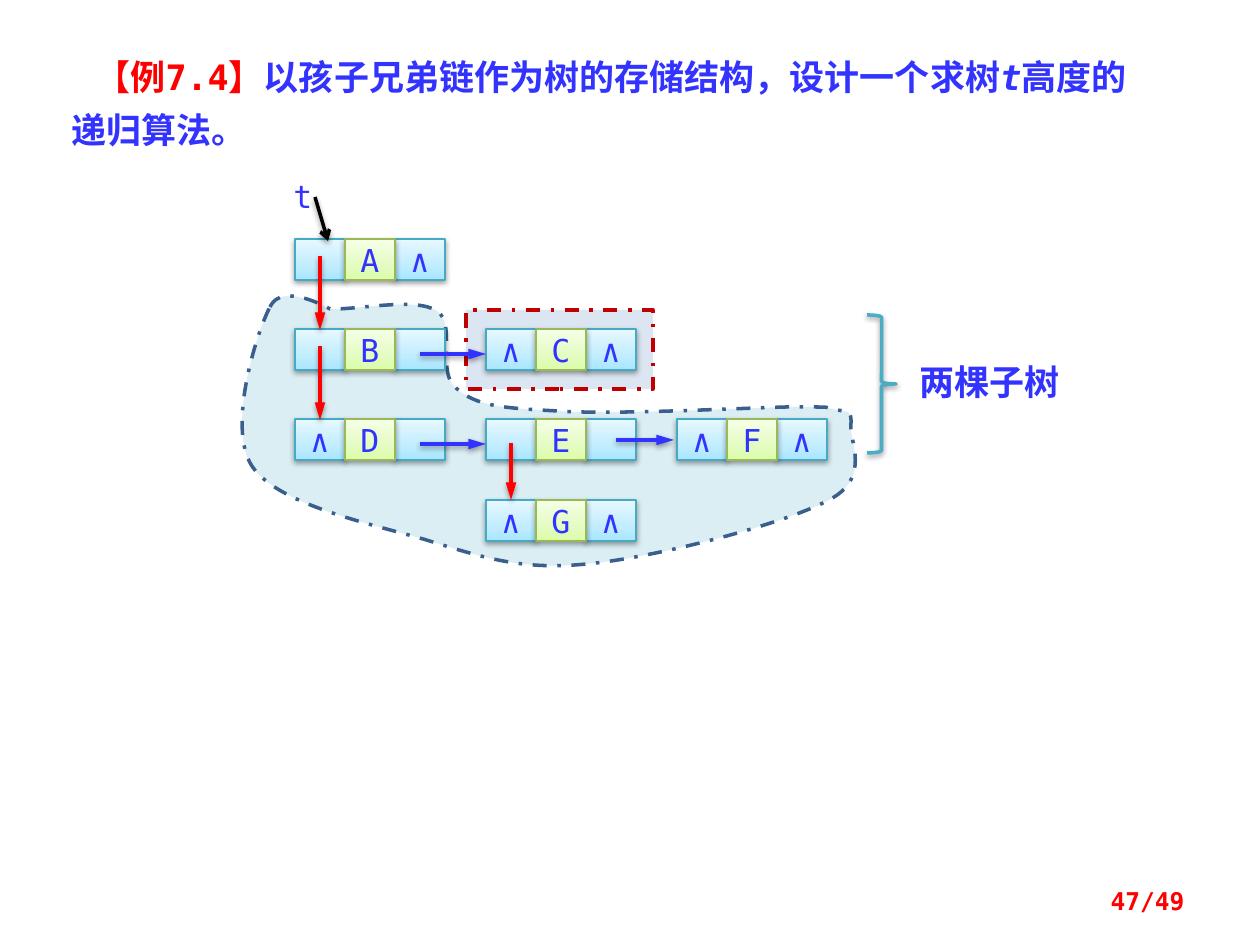
from dataclasses import dataclass
from copy import deepcopy
from itertools import chain
from lxml.etree import SubElement
from pptx import Presentation
from pptx.dml.color import RGBColor
from pptx.enum.dml import MSO_LINE
from pptx.enum.shapes import MSO_CONNECTOR, MSO_SHAPE
from pptx.enum.text import MSO_ANCHOR, MSO_AUTO_SIZE, PP_ALIGN
from pptx.oxml.ns import qn
from pptx.util import Pt

PX = 914400 / 126


@dataclass(frozen=True)
class Theme:
    blue: str = "3333FF"
    red: str = "FF0000"
    black: str = "000000"
    crimson: str = "C00000"
    navy: str = "3A5F8C"
    teal: str = "4BACC6"
    pool: str = "DBEEF4"
    mist: str = "DCE6F2"
    link_edge: str = "46AAC5"
    data_edge: str = "98B955"
    link_fill: tuple = ("A7E6FF", "C1EDFF", "E7F8FF")
    data_fill: tuple = ("DAFDA7", "E4FCC2", "F5FFE7")
    mono: str = "DejaVu Sans Mono"
    hans: str = "Noto Sans CJK SC"
    head: int = 20
    node: int = 18
    foot: int = 14
    thin: float = 0.75
    thick: int = 2


T = Theme()
CELL_W, CELL_H = 50, 41
COLS = (295, 486, 677)
ROWS = (239, 329, 419, 500)
NODES = (
    (0, 0, ("", "A", "∧")),
    (0, 1, ("", "B", "")),
    (1, 1, ("∧", "C", "∧")),
    (0, 2, ("∧", "D", "")),
    (1, 2, ("", "E", "")),
    (2, 2, ("∧", "F", "∧")),
    (1, 3, ("∧", "G", "∧")),
)
DOWN = ((320, 256, 330), (320, 346, 420), (511, 443, 500))
ACROSS = ((420, 486, 354), (420, 486, 444), (616, 674, 440))
START = (270, 307)
CURVES = (
    ((282, 281), (330, 309), (330, 309)),
    ((358, 310), (416, 297), (437, 311)),
    ((457, 324), (436, 372), (456, 388)),
    ((476, 406), (501, 408), (557, 411)),
    ((614, 415), (742, 408), (789, 407)),
    ((835, 407), (827, 407), (837, 410)),
    ((848, 412), (852, 410), (851, 425)),
    ((849, 440), (872, 478), (829, 500)),
    ((785, 524), (654, 558), (587, 564)),
    ((519, 571), (479, 556), (423, 539)),
    ((367, 523), (277, 504), (252, 466)),
    ((227, 428), (256, 334), START),
)


def emu(*nums):
    return [round(num * PX) for num in nums]


def rgb(code):
    return RGBColor.from_string(code)


def stroke(item, color, width=T.thick, dash=None):
    item.line.color.rgb = rgb(color)
    item.line.width = Pt(width)
    if dash:
        item.line.dash_style = dash


def shade(item):
    effects = SubElement(item.element.spPr, qn("a:effectLst"))
    shadow = SubElement(effects, qn("a:outerShdw"), blurRad="40000",
                        dist="20000", dir="5400000", rotWithShape="0")
    color = SubElement(shadow, qn("a:srgbClr"), val=T.black)
    SubElement(color, qn("a:alpha"), val="38000")


def blend(shape, colors):
    shape.fill.gradient()
    shape.fill.gradient_angle = 90
    stops = shape.element.spPr.find(".//" + qn("a:gsLst"))
    stops.insert(1, deepcopy(stops[0]))
    for stop, color, place in zip(shape.fill.gradient_stops, colors, (0, 0.35, 1)):
        stop.color.rgb = rgb(color)
        stop.position = place


def style(run, size, color=T.blue, bold=False, face=T.mono):
    font = run.font
    font.size = Pt(size)
    font.bold = bold
    font.name = face
    font.color.rgb = rgb(color)
    SubElement(run._r.get_or_add_rPr(), qn("a:ea"), typeface=T.hans)


def textbox(slide, box):
    frame = slide.shapes.add_textbox(*emu(*box)).text_frame
    frame.word_wrap = True
    frame.auto_size = MSO_AUTO_SIZE.SHAPE_TO_FIT_TEXT
    return frame


def label(slide, text, box, size, align=PP_ALIGN.LEFT, **look):
    frame = textbox(slide, box)
    frame.text = text
    para = frame.paragraphs[0]
    para.alignment = align
    style(para.runs[0], size, **look)
    return frame


def title(slide):
    para = textbox(slide, (59, 39, 1092, 113)).paragraphs[0]
    para.line_spacing = Pt(30)
    para._p.get_or_add_pPr().set("indent", str(emu(24)[0]))
    parts = (("【例7.4】", T.red),
             ("以孩子兄弟链作为树的存储结构，设计一个求树", T.blue),
             ("t", T.blue), ("高度的递归算法。", T.blue))
    for text, color in parts:
        run = para.add_run()
        run.text = text
        style(run, T.head, color, bold=True)
        run.font.italic = text == "t"


def cell(slide, text, x, y, colors, edge):
    shape = slide.shapes.add_shape(MSO_SHAPE.RECTANGLE, *emu(x, y, CELL_W, CELL_H))
    blend(shape, colors)
    stroke(shape, edge, T.thin)
    shade(shape)
    if text:
        frame = shape.text_frame
        frame.word_wrap = False
        frame.vertical_anchor = MSO_ANCHOR.MIDDLE
        frame.text = text
        frame.paragraphs[0].alignment = PP_ALIGN.CENTER
        style(frame.paragraphs[0].runs[0], T.node)


def node(slide, col, row, texts):
    link, data = (T.link_fill, T.link_edge), (T.data_fill, T.data_edge)
    for spot in (0, 2, 1):
        cell(slide, texts[spot], COLS[col] + spot * CELL_W, ROWS[row],
             *(data if spot == 1 else link))


def arrow(slide, ends, color, tip="triangle", size="lg"):
    line = slide.shapes.add_connector(MSO_CONNECTOR.STRAIGHT, *emu(*ends))
    stroke(line, color)
    SubElement(line.line._get_or_add_ln(), qn("a:tailEnd"),
               type=tip, w="med", len=size)
    shade(line)


def blob(slide):
    pen = slide.shapes.build_freeform(*emu(*START), scale=1.0)
    spots = chain.from_iterable(CURVES)
    pen.add_line_segments([emu(*spot) for spot in spots], close=True)
    shape = pen.convert_to_shape()
    lines = list(shape.element.spPr.iter(qn("a:lnTo")))
    for first in range(0, len(CURVES) * 3, 3):
        trio = lines[first:first + 3]
        curve = SubElement(trio[0].getparent(), qn("a:cubicBezTo"))
        trio[0].addprevious(curve)
        for line in trio:
            curve.append(line[0])
            line.getparent().remove(line)
    return shape


def region(shape, fill, edge):
    shape.fill.solid()
    shape.fill.fore_color.rgb = rgb(fill)
    stroke(shape, edge, dash=MSO_LINE.DASH_DOT)
    shape.shadow.inherit = False


def trees(slide):
    shapes = slide.shapes
    region(blob(slide), T.pool, T.navy)
    frame = shapes.add_shape(MSO_SHAPE.RECTANGLE, *emu(466, 310, 187, 79))
    region(frame, T.mist, T.crimson)
    label(slide, "两棵子树", (907, 354, 178, 55), T.head, bold=True, face=T.hans)
    brace = shapes.add_shape(MSO_SHAPE.RIGHT_BRACE, *emu(867, 315, 29, 138))
    brace.fill.background()
    stroke(brace, T.teal)
    shade(brace)


def main():
    deck = Presentation()
    deck.slide_width, deck.slide_height = emu(1260, 945)
    slide = deck.slides.add_slide(deck.slide_layouts[6])
    trees(slide)
    title(slide)
    for item in NODES:
        node(slide, *item)
    for x, top, end in DOWN:
        arrow(slide, (x, top, x, end), T.red)
    for left, end, y in ACROSS:
        arrow(slide, (left, y, end, y), T.blue)
    label(slide, "t", (281, 171, 42, 50), T.node, PP_ALIGN.CENTER)
    arrow(slide, (315, 197, 328, 241), T.black, "arrow", "med")
    page = label(slide, "47/49", (903, 876, 294, 50), T.foot, PP_ALIGN.RIGHT,
                 color=T.red, bold=True)
    page.vertical_anchor = MSO_ANCHOR.MIDDLE
    page.auto_size = MSO_AUTO_SIZE.NONE
    deck.save("out.pptx")


if __name__ == "__main__":
    main()
